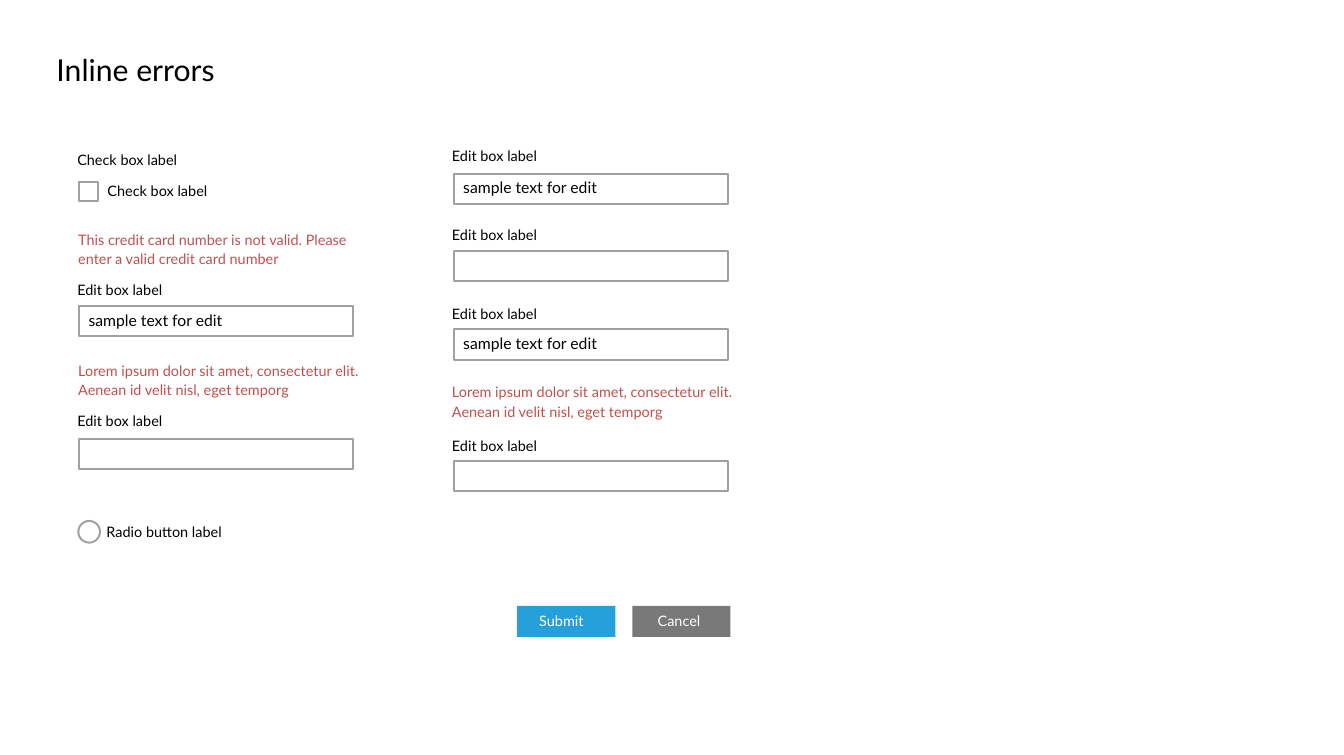
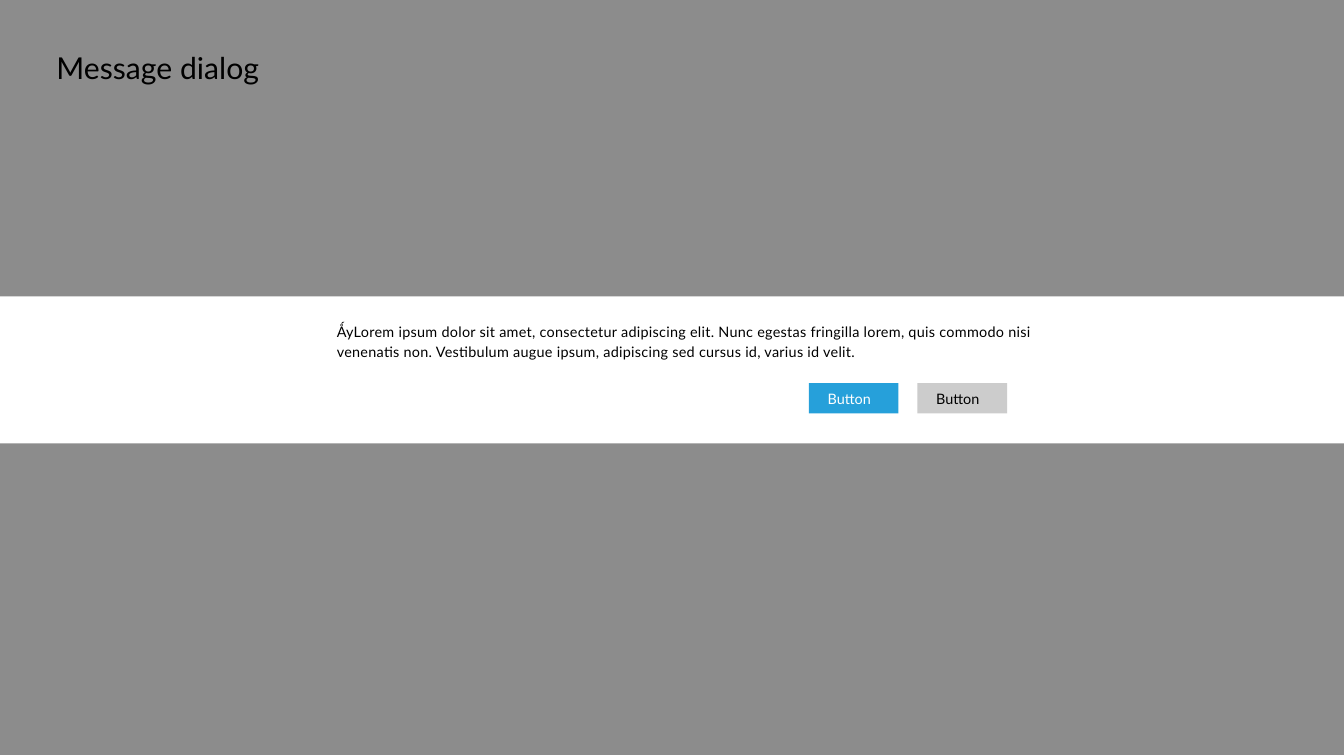
from lxml import etree
from pptx import Presentation
from pptx.dml.color import RGBColor
from pptx.enum.shapes import MSO_SHAPE
from pptx.enum.text import MSO_AUTO_SIZE
from pptx.oxml.ns import qn
from pptx.util import Inches, Pt

RECT, OVAL = MSO_SHAPE.RECTANGLE, MSO_SHAPE.OVAL
GROW = MSO_AUTO_SIZE.SHAPE_TO_FIT_TEXT

# Shared look
WIDE, HIGH = 14.24, 8
FONT = "Lato"
BLACK, WHITE, RED = "000000", "FFFFFF", "C0504D"
EDGE, BLUE, GRAY, PALE = "A0A0A0", "26A0DA", "797979", "CCCCCC"
PAD = 0.1            # side inset of a text box
ROW = 0.29           # height of a one-line label
FIELD = (2.9, 0.32)  # size of an edit box

# Content
LOREM = "Lorem ipsum dolor sit amet, consectetur elit. Aenean id velit nisl, eget temporg"
CARD = "This credit card number is not valid. Please enter a valid credit card number"
SAMPLE = "sample text for edit"
CHECK, EDIT, RADIO = "Check box label", "Edit box label", "Radio button label"

# Labels: text, left, top
LABELS = [(CHECK, 0.72, 1.55), (CHECK, 1.04, 1.88), (RADIO, 1.03, 5.49)]
# Tick marks: shape, left, top, side
MARKS = [(RECT, 0.84, 1.93, 0.2), (OVAL, 0.83, 5.52, 0.23)]
# Edit boxes by column: left edge, then (label top, box top, sample text)
COLUMNS = [
    (0.84, [(2.93, 3.24, SAMPLE), (4.32, 4.65, "")]),
    (4.81, [(1.51, 1.84, SAMPLE), (2.35, 2.66, ""),
            (3.18, 3.49, SAMPLE), (4.58, 4.88, "")]),
]
# Errors: text, left, top, width
ERRORS = [(CARD, 0.73, 2.37, 3.11), (LOREM, 0.73, 3.76, 3.38),
          (LOREM, 4.69, 3.99, 3.38)]
# Buttons: text, fill, text colour, text width
ACTIONS = [("Submit", BLUE, WHITE, 0.77), ("Cancel", GRAY, WHITE, 0.7)]
REPLIES = [("Button", BLUE, WHITE, 0.75), ("Button", PALE, BLACK, 0.75)]
MESSAGE = ("ǺyLorem ipsum dolor sit amet, consectetur adipiscing elit. "
           "Nunc egestas fringilla lorem, quis commodo nisi venenatis non. "
           "Vestibulum augue ipsum, adipiscing sed cursus id, varius id velit.")


def color(code):
    return RGBColor.from_string(code)


def block(parent, kind, x, y, w, h, fill=WHITE, edge=None, alpha=None):
    shape = parent.add_shape(kind, Inches(x), Inches(y), Inches(w), Inches(h))
    shape.shadow.inherit = False
    shape.fill.solid()
    shape.fill.fore_color.rgb = color(fill)
    if alpha:
        tint = shape.fill._xPr.find(".//" + qn("a:srgbClr"))
        etree.SubElement(tint, qn("a:alpha")).set("val", str(alpha * 1000))
    if edge:
        shape.line.color.rgb = color(edge)
        shape.line.width = Pt(1.5)
    else:
        shape.line.fill.background()


def write(parent, text, x, y, w, h=ROW, size=11, ink=BLACK, lead=None, track=None):
    box = parent.add_textbox(Inches(x), Inches(y), Inches(w), Inches(h))
    frame = box.text_frame
    frame.word_wrap = True
    frame.auto_size = GROW
    frame.text = text
    para = frame.paragraphs[0]
    if lead:
        para.line_spacing = Pt(lead)
    font = para.runs[0].font
    font.name, font.size = FONT, Pt(size)
    font.color.rgb = color(ink)
    if track:
        font._element.set("spc", str(round(track * 100)))


def title(parent, text, y, w):
    write(parent, text, 0.5, y, w, 0.49, size=23)


def field(parent, x, label, y, text):
    write(parent, EDIT, x - PAD - 0.02, label, 1.52)
    group = parent.add_group_shape().shapes if text else parent
    block(group, RECT, x, y, *FIELD, edge=EDGE)
    if text:
        write(group, text, x, y, 2.22, 0.3, size=12)


def buttons(parent, items, x, y, w, h, gap):
    for i, (text, fill, ink, span) in enumerate(items):
        left = x + i * (w + gap)
        group = parent.add_group_shape().shapes
        block(group, RECT, left, y, w, h, fill)
        write(group, text, left + (w - span) / 2, y + 0.02, span, ink=ink)


deck = Presentation()
deck.slide_width, deck.slide_height = Inches(WIDE), Inches(HIGH)
blank = deck.slide_layouts[6]

# Slide 1: form with inline errors
form = deck.slides.add_slide(blank).shapes
title(form, "Inline errors", 0.49, 3.68)
for kind, x, y, side in MARKS:
    block(form, kind, x, y, side, side, edge=EDGE)
for text, x, y in LABELS:
    write(form, text, x, y, 1.52)
for x, rows in COLUMNS:
    for label, y, text in rows:
        field(form, x, label, y, text)
for text, x, y, w in ERRORS:
    write(form, text, x, y, w, 0.52, ink=RED, lead=15)
buttons(form, ACTIONS, 5.48, 6.42, 1.04, 0.33, 0.18)

# Slide 2: dialog band over a dimmed page
page = deck.slides.add_slide(blank).shapes
title(page, "Message dialog", 0.47, 2.43)
dialog = page.add_group_shape().shapes
block(dialog, RECT, 0, 0, WIDE, HIGH, BLACK, alpha=45)
block(dialog, RECT, 0, 3.14, WIDE, 1.56)
write(dialog, MESSAGE, 3.47, 3.35, 7.66, 0.52, lead=15, track=0.2)
buttons(dialog, REPLIES, 8.57, 4.06, 0.95, 0.32, 0.2)

deck.save("out.pptx")
